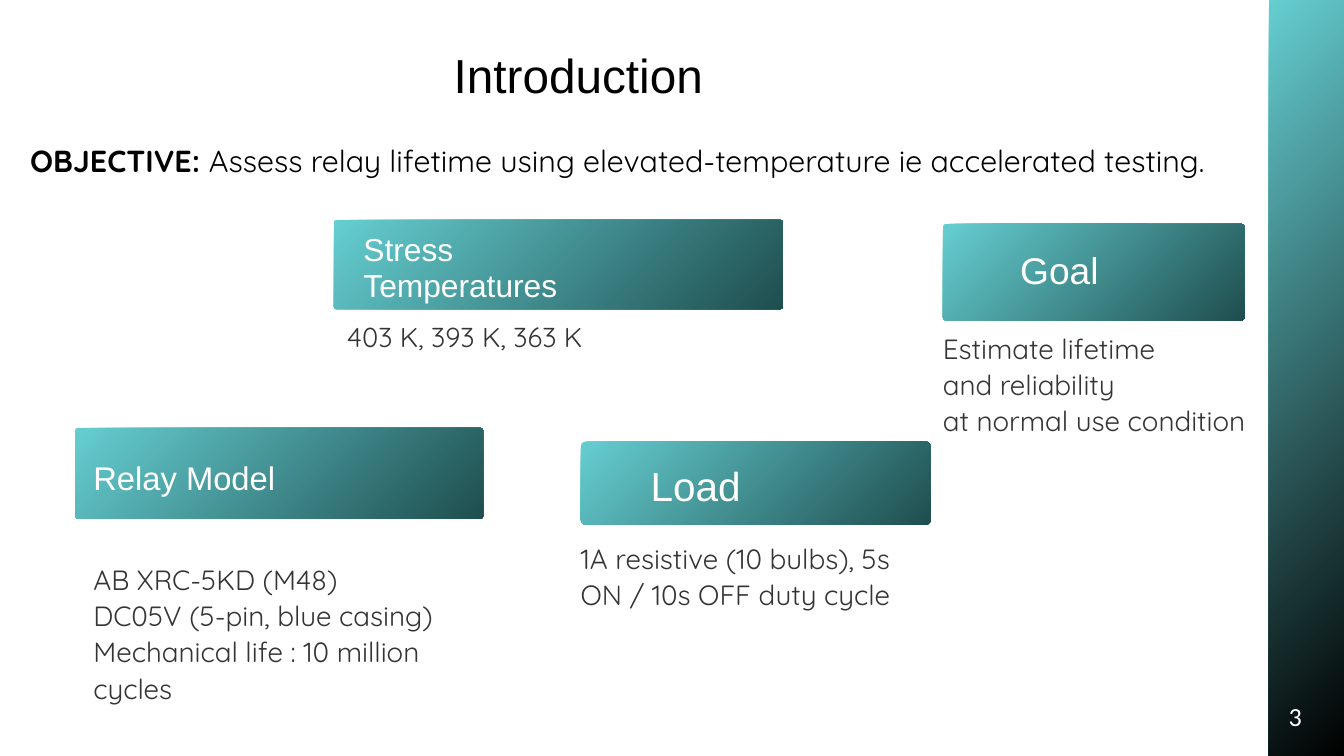
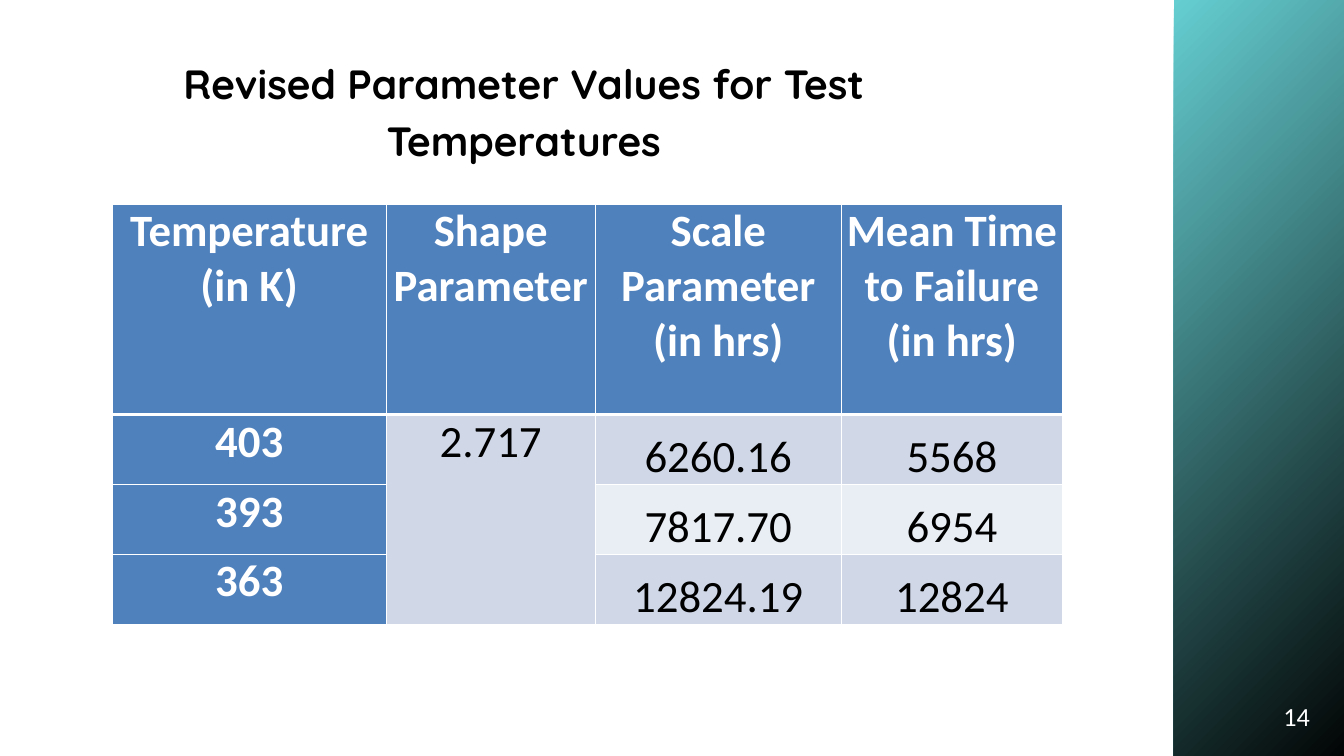
from pptx import Presentation
from pptx.dml.color import RGBColor
from pptx.enum.shapes import MSO_SHAPE
from pptx.enum.text import MSO_ANCHOR, PP_ALIGN
from pptx.oxml import parse_xml
from pptx.oxml.ns import nsdecls
from pptx.util import Cm, Pt

# Colours
TEAL = RGBColor(0x65, 0xCE, 0xD1)
DARK_TEAL = RGBColor(0x1F, 0x4E, 0x4F)
BLACK = RGBColor(0, 0, 0)
WHITE = RGBColor(0xFF, 0xFF, 0xFF)
GREY = RGBColor(0x34, 0x34, 0x34)
BLUE = RGBColor(0x4F, 0x81, 0xBD)
ODD_ROW = RGBColor(0xD0, 0xD8, 0xE8)
EVEN_ROW = RGBColor(0xE9, 0xED, 0xF4)

# Fonts
HEAD_FONT = "Arial"
BODY_FONT = "Quicksand"
TABLE_FONT = "Calibri"

SLIDE_W, SLIDE_H = 50.8, 28.58

# Cards: band box, corner radius, label (place, size, spacing, lines),
# body (place, size, spacing, lines)
CARDS = [
    ((2.84, 16.18, 15.42, 3.43), 0.1,
     ((3.53, 17.4, 15.01, 1.47), 35.1, 39.7, ["Relay Model"]),
     ((3.53, 21.18, 14.05, 5.56), 29.8, 38.7,
      ["AB XRC‑5KD (M48)", "DC05V (5‑pin, blue casing)",
       "Mechanical life : 10 million cycles"])),
    ((12.62, 8.31, 16.97, 3.38), 0.1,
     ((13.74, 8.76, 14.5, 2.77), 34, 38.4, ["Stress", "Temperatures"]),
     ((13.11, 12.01, 14.02, 2.62), 29.3, 38.1, ["403 K, 393 K, 363 K"])),
    ((21.95, 16.69, 13.23, 3.15), 0.2,
     ((24.59, 17.55, 18.52, 1.73), 43.4, 49, ["Load"]),
     ((21.95, 20.37, 14.38, 2.64), 29.8, 38.7,
      ["1A resistive (10 bulbs), 5s ON / 10s OFF duty cycle"])),
    ((35.64, 8.46, 11.4, 3.66), 0.13,
     ((38.56, 9.45, 12.24, 1.63), 39.8, 44.9, ["Goal"]),
     ((35.64, 12.42, 15.1, 5.69), 29.8, 38.7,
      ["Estimate lifetime", "and reliability", "at normal use condition"])),
]

# Table content
COLUMN_WIDTHS = [10.36, 7.9, 9.3, 8.36]
ROW_HEIGHTS = [7.95, 2.64, 2.64, 2.64]
ROWS = [
    ["Temperature\n(in K)", "Shape Parameter", "Scale Parameter\n(in hrs)",
     "Mean Time to Failure\n(in hrs)"],
    ["403", "2.717", "6260.16", "5568"],
    ["393", "", "7817.70", "6954"],
    ["363", "", "12824.19", "12824"],
]


def style_run(r, font, size, color, bold=False):
    r.font.name = font
    r.font.size = Pt(size)
    r.font.color.rgb = color
    r.font.bold = bold


def add_text(s, box, lines, font, size, color, spacing=None, bold=False,
             align=None, inset=0):
    """Add a text box; a line is a string or a list of (text, bold) runs."""
    tf = s.shapes.add_textbox(*map(Cm, box)).text_frame
    tf.word_wrap = True
    if inset is not None:
        tf.margin_left = tf.margin_right = Cm(inset)
        tf.margin_top = tf.margin_bottom = Cm(inset)
    for i, line in enumerate(lines):
        p = tf.add_paragraph() if i else tf.paragraphs[0]
        p.alignment = align
        if spacing:
            p.line_spacing = Pt(spacing)
        for text, heavy in [(line, bold)] if isinstance(line, str) else line:
            r = p.add_run()
            r.text = text
            style_run(r, font, size, color, heavy)


def add_band(s, box, end_color, radius=0):
    """Add a diagonal gradient band, with rounded corners if asked."""
    kind = MSO_SHAPE.ROUNDED_RECTANGLE if radius else MSO_SHAPE.RECTANGLE
    sp = s.shapes.add_shape(kind, *map(Cm, box))
    if radius:
        sp.adjustments[0] = radius / min(box[2:])
    sp.shadow.inherit = False
    sp.line.fill.background()
    sp.fill.gradient()
    sp.fill.gradient_angle = 315
    for stop, color in zip(sp.fill.gradient_stops, (TEAL, end_color)):
        stop.color.rgb = color


def add_card(s, box, radius, label, body):
    add_band(s, box, DARK_TEAL, radius)
    for (place, size, spacing, lines), font, color in (
            (label, HEAD_FONT, WHITE), (body, BODY_FONT, GREY)):
        add_text(s, place, lines, font, size, color, spacing)


def add_side_band(s, left, height=SLIDE_H):
    add_band(s, (left, 0, SLIDE_W - left, height), BLACK)


def add_page_number(s, number, left, width):
    add_text(s, (left, 26.37, width, 1.45), [number], TABLE_FONT, 28, WHITE,
             inset=None)


def set_borders(cell, top, bottom):
    tc_pr = cell._tc.get_or_add_tcPr()
    for side, width in (("L", 1), ("R", 1), ("T", top), ("B", bottom)):
        tc_pr.append(parse_xml(
            f'<a:ln{side} {nsdecls("a")} w="{Pt(width)}"><a:solidFill>'
            f'<a:srgbClr val="{WHITE}"/></a:solidFill></a:ln{side}>'))


def style_cell(cell, row, col):
    heading = row == 0 or col == 0
    set_borders(cell, 3 if row == 1 else 1, 3 if row == 0 else 1)
    cell.fill.solid()
    if heading:
        cell.fill.fore_color.rgb = BLUE
    else:
        cell.fill.fore_color.rgb = ODD_ROW if row % 2 or col == 1 else EVEN_ROW
    cell.margin_left = cell.margin_right = Cm(0.18)
    cell.margin_top = cell.margin_bottom = 0
    if row and col > 1:
        cell.vertical_anchor = MSO_ANCHOR.BOTTOM
    for p in cell.text_frame.paragraphs:
        p.alignment = PP_ALIGN.CENTER
        style_run(p, TABLE_FONT, 48, WHITE if heading else BLACK, heading)


def add_parameter_table(s, left, top):
    table = s.shapes.add_table(
        len(ROWS), len(COLUMN_WIDTHS), Cm(left), Cm(top),
        Cm(sum(COLUMN_WIDTHS)), Cm(sum(ROW_HEIGHTS))).table
    for column, width in zip(table.columns, COLUMN_WIDTHS):
        column.width = Cm(width)
    for row, height in zip(table.rows, ROW_HEIGHTS):
        row.height = Cm(height)
    for i, texts in enumerate(ROWS):
        for j, text in enumerate(texts):
            cell = table.cell(i, j)
            cell.text_frame.text = text
            style_cell(cell, i, j)
    # One shape parameter holds for all temperatures
    table.cell(1, 1).merge(table.cell(3, 1))


def build_introduction(s):
    for card in CARDS:
        add_card(s, *card)
    add_text(s, (17.15, 1.85, 27.41, 2.11), ["Introduction"],
             HEAD_FONT, 51.1, BLACK, 57.8)
    add_side_band(s, 47.96)
    objective = [("OBJECTIVE: ", True),
                 ("Assess relay lifetime using elevated-temperature "
                  "ie accelerated testing.", False)]
    add_text(s, (1.14, 5.13, 45.14, 3.23), [objective],
             BODY_FONT, 32.6, BLACK, 45.6)
    add_page_number(s, "3", 48.46, 1.47)


def build_parameters(s):
    add_side_band(s, 44.37, 29.36)
    add_text(s, (2.36, 1.9, 34.87, 4.22),
             ["Revised Parameter Values for Test Temperatures"],
             BODY_FONT, 43.7, BLACK, 61.1, True, PP_ALIGN.CENTER)
    add_parameter_table(s, 4.24, 7.72)
    add_page_number(s, "14", 48.26, 1.68)


def main():
    prs = Presentation()
    prs.slide_width, prs.slide_height = Cm(SLIDE_W), Cm(SLIDE_H)
    for build in (build_introduction, build_parameters):
        build(prs.slides.add_slide(prs.slide_layouts[6]))
    prs.save("out.pptx")


if __name__ == "__main__":
    main()
